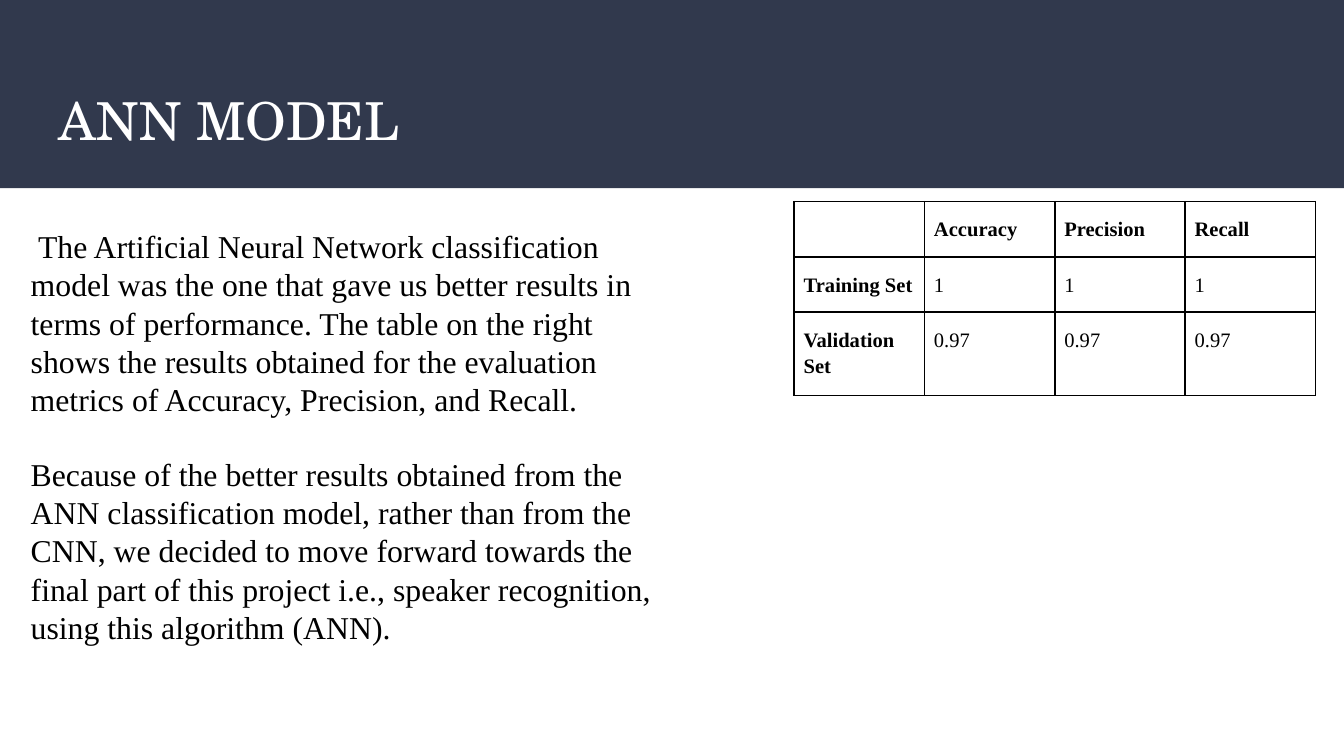
from lxml.etree import SubElement
from pptx import Presentation
from pptx.dml.color import RGBColor
from pptx.enum.shapes import MSO_SHAPE as Shape
from pptx.enum.text import MSO_ANCHOR as Anchor
from pptx.oxml.ns import qn
from pptx.util import Inches, Pt

COLORS = {"band": "31394D", "white": "FFFFFF", "black": "000000"}
TITLE = "ANN MODEL"
BODY = [
    " The Artificial Neural Network classification model was the one that gave us "
    "better results in terms of performance. The table on the right shows the results "
    "obtained for the evaluation metrics of Accuracy, Precision, and Recall.",
    "Because of the better results obtained from the ANN classification model, rather "
    "than from the CNN, we decided to move forward towards the final part of this "
    "project i.e., speaker recognition, using this algorithm (ANN).",
]
RESULTS = [
    ["", "Accuracy", "Precision", "Recall"],
    ["Training Set", "1", "1", "1"],
    ["Validation Set", "0.97", "0.97", "0.97"],
]
SLIDE_WIDTH = Inches(10)
SLIDE_HEIGHT = SLIDE_WIDTH * 9 // 16
COLUMN_WIDTH = 0.97
ROW_HEIGHTS = [0.41, 0.41, 0.62]

TITLE_FONT = {"name": "TeX Gyre Schola", "size": Pt(28)}
BODY_FONT = {"name": "Times New Roman", "size": Pt(17)}
TABLE_FONT = {"name": "Times New Roman", "size": Pt(11)}
PARAGRAPH_GAP = Pt(20)


def color(name):
    return RGBColor.from_string(COLORS[name])


def set_format(target, values):
    for name, value in values.items():
        setattr(target, name, value)


def set_margins(target, horizontal, vertical):
    set_format(target, {
        "margin_left": Inches(horizontal), "margin_right": Inches(horizontal),
        "margin_top": Inches(vertical), "margin_bottom": Inches(vertical),
    })


def write(paragraph, text, font, color_name):
    paragraph.text = text
    set_format(paragraph.font, font)
    paragraph.font.color.rgb = color(color_name)
    for run in paragraph.runs:
        set_format(run.font, font)
        run.font.color.rgb = color(color_name)


def add_text(slide, box, texts, font, color_name, anchor):
    frame = slide.shapes.add_textbox(*map(Inches, box)).text_frame
    set_margins(frame, 0.1, 0.1)
    set_format(frame, {"word_wrap": True, "vertical_anchor": anchor})
    for index, text in enumerate(texts):
        paragraph = frame.add_paragraph() if index else frame.paragraphs[0]
        write(paragraph, text, font, color_name)
        if index:
            paragraph.space_before = PARAGRAPH_GAP


def add_borders(cell):
    properties = cell._tc.get_or_add_tcPr()
    for position, side in enumerate(("lnL", "lnR", "lnT", "lnB")):
        line = SubElement(properties, qn(f"a:{side}"), w=str(Pt(1)))
        fill = SubElement(line, qn("a:solidFill"))
        SubElement(fill, qn("a:srgbClr"), val=COLORS["black"])
        properties.insert(position, line)


def add_results_table(slide, left, top):
    columns = len(RESULTS[0])
    table = slide.shapes.add_table(
        len(RESULTS), columns, Inches(left), Inches(top),
        Inches(COLUMN_WIDTH * columns), Inches(sum(ROW_HEIGHTS))).table
    for column in table.columns:
        column.width = Inches(COLUMN_WIDTH)
    for row, height in zip(table.rows, ROW_HEIGHTS):
        row.height = Inches(height)
    for row, values in enumerate(RESULTS):
        for column, value in enumerate(values):
            cell = table.cell(row, column)
            set_margins(cell, 0.07, 0.1)
            cell.fill.background()
            paragraph = cell.text_frame.paragraphs[0]
            is_header = row == 0 or column == 0
            write(paragraph, value, {**TABLE_FONT, "bold": is_header}, "black")
            paragraph.line_spacing = 1.15
            add_borders(cell)


def main():
    presentation = Presentation()
    presentation.slide_width = SLIDE_WIDTH
    presentation.slide_height = SLIDE_HEIGHT
    slide = presentation.slides.add_slide(presentation.slide_layouts[6])
    slide.background.fill.solid()
    slide.background.fill.fore_color.rgb = color("white")

    band = slide.shapes.add_shape(Shape.RECTANGLE, 0, 0, SLIDE_WIDTH, Inches(1.4))
    band.shadow.inherit = False
    band.fill.solid()
    band.fill.fore_color.rgb = color("band")
    band.line.fill.background()

    add_text(slide, (0.34, 0.55, 9.32, 0.68), [TITLE], TITLE_FONT, "white", Anchor.MIDDLE)
    add_text(slide, (0.13, 1.59, 4.92, 3.92), BODY, BODY_FONT, "black", Anchor.TOP)
    add_results_table(slide, 5.91, 1.5)
    presentation.save("out.pptx")


if __name__ == "__main__":
    main()
